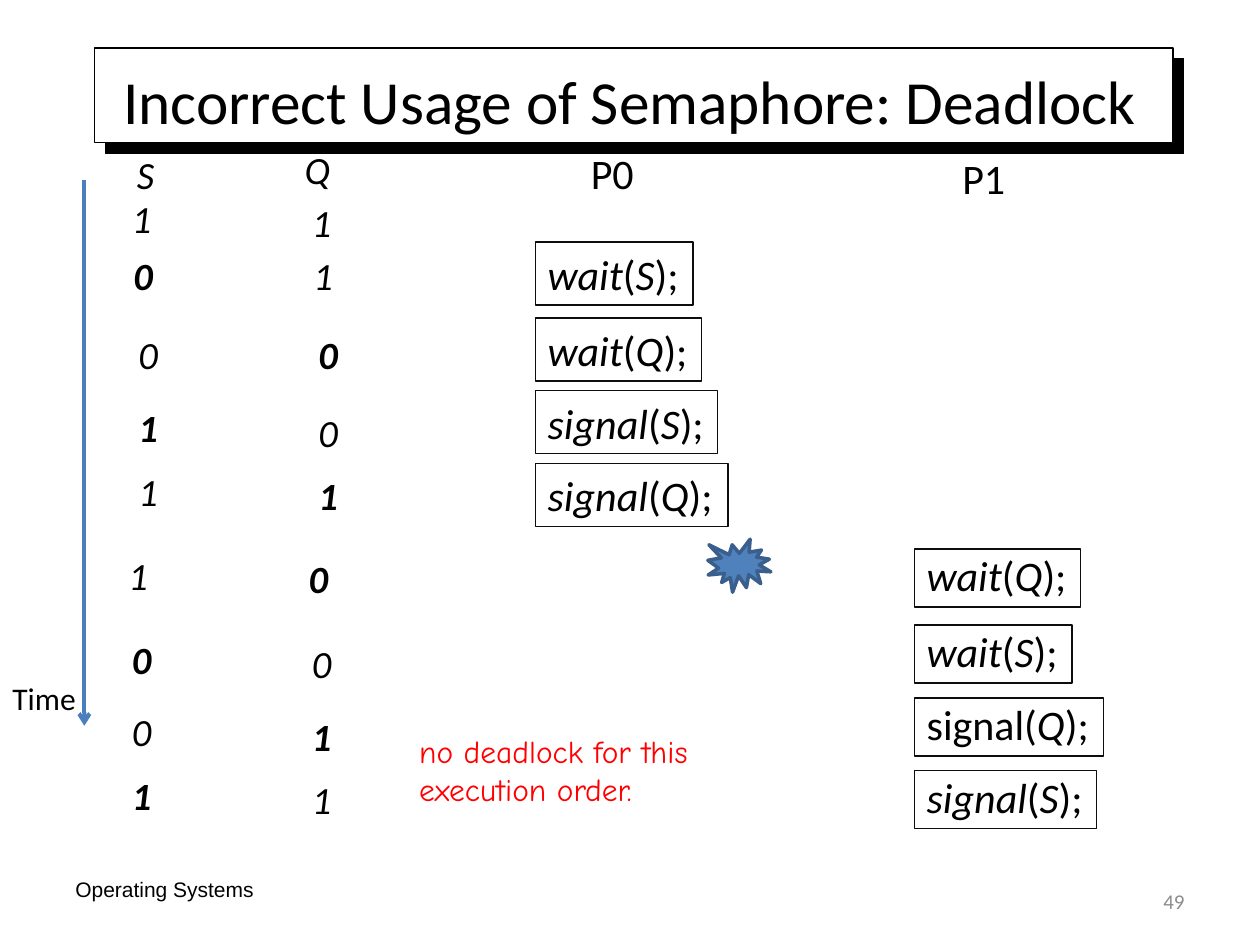
from lxml import etree
from pptx import Presentation
from pptx.dml.color import RGBColor
from pptx.enum.shapes import MSO_CONNECTOR as Link, MSO_SHAPE as Shape
from pptx.enum.text import MSO_ANCHOR as Anchor, MSO_AUTO_SIZE as Auto, PP_ALIGN as Align
from pptx.oxml import parse_xml
from pptx.oxml.ns import nsdecls, qn
from pptx.util import Cm, Pt

BLACK = RGBColor(0, 0, 0)
WHITE = RGBColor(0xFF, 0xFF, 0xFF)
INK = RGBColor(0x0D, 0x0D, 0x0D)
RED = RGBColor(0xFF, 0, 0)
GREY = RGBColor(0x8C, 0x8C, 0x8C)
ARROW = RGBColor(0x4B, 0x7E, 0xBC)
BLUE = RGBColor(0x4F, 0x81, 0xBD)
NAVY = RGBColor(0x3A, 0x5F, 0x8C)

deck = Presentation()
deck.slide_width, deck.slide_height = Cm(25.4), Cm(19.05)
slide = deck.slides.add_slide(deck.slide_layouts[6])
shapes = slide.shapes


def write(text, x, y, w, h, size=22, font="Calibri", color=BLACK, bold=False,
          align=Align.LEFT, anchor=Anchor.TOP, wrap=False, grow=True,
          gap=None, edge=None):
    """Add a text box; parts between asterisks are italic."""
    box = shapes.add_textbox(Cm(x), Cm(y), Cm(w), Cm(h))
    frame = box.text_frame
    frame.word_wrap = wrap
    frame.auto_size = Auto.SHAPE_TO_FIT_TEXT if grow else Auto.NONE
    frame.vertical_anchor = anchor
    para = frame.paragraphs[0]
    para.alignment = align
    if gap:
        para.line_spacing = gap
    for i, part in enumerate(text.split("*")):
        if part:
            run = para.add_run()
            run.text = part
            run.font.size, run.font.name = Pt(size), font
            run.font.bold, run.font.italic = bold, i % 2 == 1
            run.font.color.rgb = color
    if edge:
        box.line.color.rgb = edge
        box.line.width = Pt(0.75)
    return box


# Title on a plate with a hard shadow
plate = shapes.add_shape(Shape.RECTANGLE, Cm(1.91), Cm(0.97), Cm(21.74), Cm(1.91))
plate.fill.solid()
plate.fill.fore_color.rgb = WHITE
plate.line.color.rgb = BLACK
plate.line.width = Pt(0.75)
plate._element.spPr.append(parse_xml(
    f'<a:effectLst {nsdecls("a")}><a:outerShdw dist="{Pt(8.5)}" dir="2700000" '
    'algn="ctr" rotWithShape="0"><a:srgbClr val="000000"/></a:outerShdw></a:effectLst>'))
write("Incorrect Usage of Semaphore: Deadlock", 1.27, 0.43, 22.86, 3.18, size=35,
      align=Align.CENTER, anchor=Anchor.MIDDLE, wrap=True, grow=False)

# Time arrow
time = shapes.add_connector(Link.STRAIGHT, Cm(1.7), Cm(3.63), Cm(1.7), Cm(14.63))
time.line.color.rgb = ARROW
time.line.width = Pt(2.25)
etree.SubElement(time.line._get_or_add_ln(), qn("a:tailEnd"), type="arrow")
etree.SubElement(time._element.spPr, qn("a:effectLst"))
write("Time", 0, 13.56, 1.91, 1.02, size=18)

# Column heads
write("*S*", 2.51, 2.92, 0.86, 1.19)
write("*Q*", 5.89, 2.82, 1.04, 1.19)
write("P0", 11.66, 2.84, 1.4, 1.27, size=24)
write("P1", 19.15, 2.95, 1.4, 1.27, size=24)

# Semaphore values: left, top of S, top of Q, S, Q; a changed value is bold
states = [
    (2.41, 3.81, 3.89, 1, 1),
    (2.44, 4.95, 4.95, 0, 1),
    (2.54, 6.55, 6.55, 0, 0),
    (2.54, 8.03, 8.13, 1, 0),
    (2.54, 9.32, 9.4, 1, 1),
    (2.34, 11, 11.07, 1, 0),
    (2.41, 12.7, 12.78, 0, 0),
    (2.41, 14.15, 14.25, 0, 1),
    (2.41, 15.44, 15.52, 1, 1),
]
last_s, last_q = 1, 1
for x, top_s, top_q, s, q in states:
    write(f"*{s}*", x, top_s, 0.91, 1.19, bold=s != last_s)
    write(f"*{q}*", x + 3.63, top_q, 0.91, 1.19, bold=q != last_q)
    last_s, last_q = s, q

# Calls of each process: left, top, height, line spacing, (text, width)
calls = [
    (10.79, 4.88, 1.27, None, [("*wait*(*S*);", 3.18), ("*wait*(*Q*);", 3.35),
                               ("*signal*(*S*);", 3.68), ("*signal*(*Q*);", 3.89)]),
    (18.43, 11.07, 1.17, 0.9, [("*wait*(*Q*);", 3.35), ("*wait*(*S*);", 3.18),
                               ("signal(*Q*);", 3.81), ("*signal*(*S*);", 3.68)]),
]
steps = (0, 1.53, 3, 4.47)
for x, y, h, gap, lines in calls:
    for step, (text, w) in zip(steps, lines):
        write(text, x, y + step, w, h, size=24, gap=gap, edge=INK)

# Burst at the switch between processes, and the remark
burst = shapes.add_shape(Shape.EXPLOSION1, Cm(14.27), Cm(10.87), Cm(1.27), Cm(1.07))
burst.shadow.inherit = False
burst.fill.solid()
burst.fill.fore_color.rgb = BLUE
burst.line.color.rgb = NAVY
burst.line.width = Pt(2)
write("no deadlock for this execution order.", 8.2, 14.63, 7.9, 1.8, size=18,
      font="Comic Neue", color=RED, wrap=True)

# Footer
write("Operating Systems", 1.27, 17.55, 5.92, 1.02, size=12, font="Arial", wrap=True, grow=False)
write("49", 18.21, 17.65, 5.92, 1.02, size=12, color=GREY, align=Align.RIGHT,
      anchor=Anchor.MIDDLE, wrap=True, grow=False)

deck.save("out.pptx")
